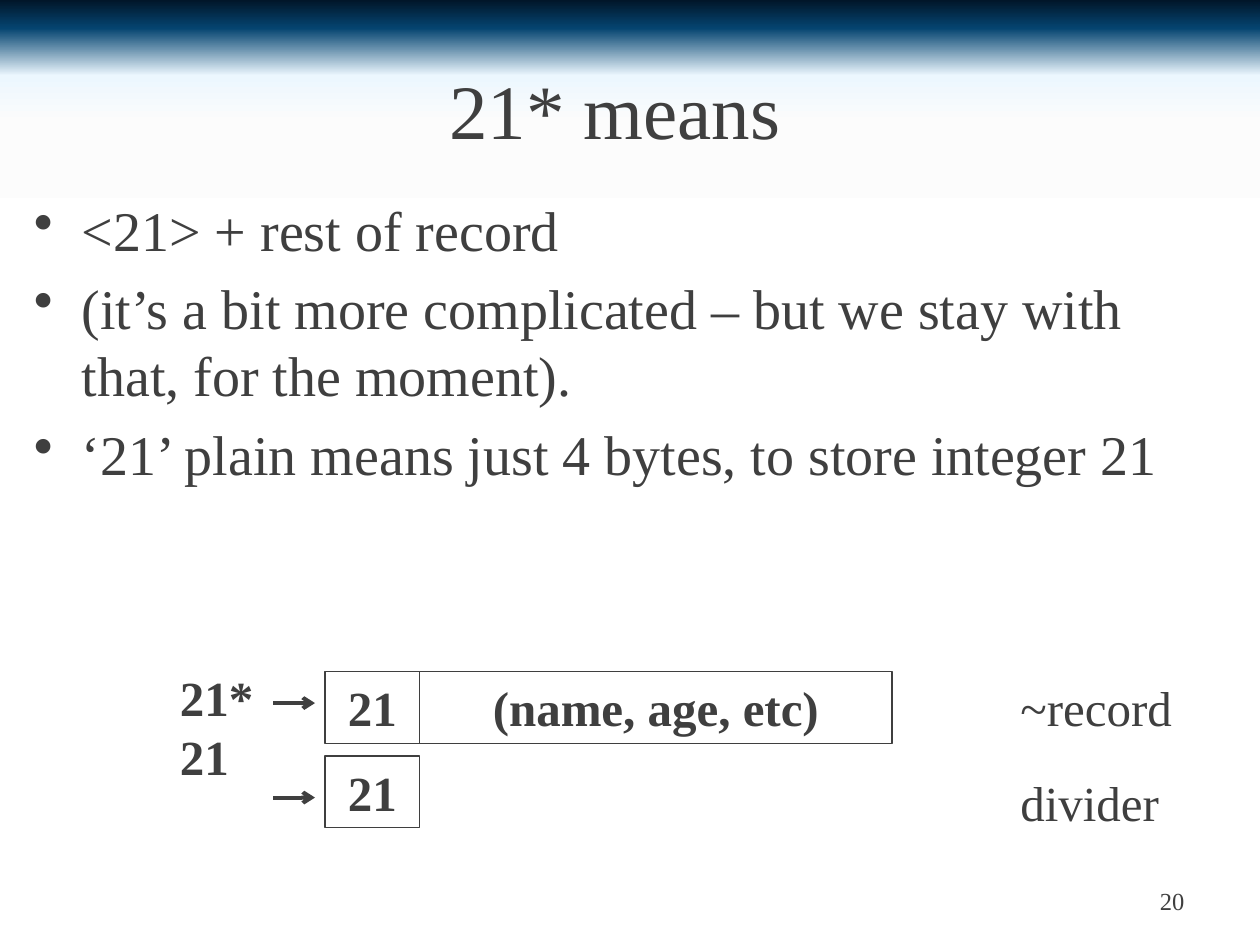
"""Build the slide explaining what 21* means in an index entry."""
from lxml import etree
from pptx import Presentation
from pptx.enum import shapes, text
from pptx.oxml import ns
from pptx.util import Inches, Pt
from pptx.dml.color import RGBColor

COLORS = {"ink": "3F3F3F", "night": "011629", "blue": "054470",
          "sky": "ECF7FE", "mist": "FCFCFC", "white": "FFFFFF"}
INK = RGBColor.from_string(COLORS["ink"])
ALIGN = text.PP_ALIGN
ANCHOR = text.MSO_ANCHOR


def write(frame, lines, size, bold=False, align=ALIGN.LEFT, anchor=ANCHOR.TOP, wrap=True, grow=False):
    frame.text = "\n".join(lines)
    frame.word_wrap = wrap
    frame.vertical_anchor = anchor
    frame.auto_size = text.MSO_AUTO_SIZE.SHAPE_TO_FIT_TEXT if grow else text.MSO_AUTO_SIZE.NONE
    for paragraph in frame.paragraphs:
        paragraph.alignment = align
        for run in paragraph.runs:
            run.font.name = "Times New Roman"
            run.font.size = Pt(size)
            run.font.bold = bold
            run.font.color.rgb = INK


def add_text(left, top, width, height, lines, size, **style):
    box = slide.shapes.add_textbox(Inches(left), Inches(top), Inches(width), Inches(height))
    write(box.text_frame, lines, size, **style)
    return box.text_frame


prs = Presentation()
prs.slide_width, prs.slide_height = Inches(10), Inches(7.5)
slide = prs.slides.add_slide(prs.slide_layouts[6])

backdrop = slide.background.fill
backdrop.gradient()
backdrop.gradient_angle = 270
stops = next(slide.element.iter(ns.qn("a:gsLst")))
for stop in list(stops):
    stops.remove(stop)
for percent, shade in [(0, "night"), (3, "blue"), (8, "sky"), (13, "mist"),
                       (21, "white"), (98, "white")]:
    stop = etree.SubElement(stops, ns.qn("a:gs"), pos=str(percent * 1000))
    etree.SubElement(stop, ns.qn("a:srgbClr"), val=COLORS[shade])

add_text(0.17, 0.3, 9.42, 1.12, ["21* means"], 44, align=ALIGN.CENTER, anchor=ANCHOR.MIDDLE)

points = add_text(0.17, 1.5, 9.42, 5.2, [
    "<21> + rest of record",
    "(it’s a bit more complicated – but we stay with that, for the moment).",
    "‘21’ plain means just 4 bytes, to store integer 21",
], 32)
indent = Inches(0.38)
for index, point in enumerate(points.paragraphs):
    point.space_before = Pt(6.4 if index else 0)
    properties = point._p.get_or_add_pPr()
    properties.set("marL", str(indent))
    properties.set("indent", str(-indent))
    etree.SubElement(properties, ns.qn("a:buChar"), char="•")

add_text(7.17, 6.95, 2.33, 0.4, ["20"], 14, align=ALIGN.RIGHT, anchor=ANCHOR.MIDDLE)
add_text(1.33, 5.25, 0.79, 1.28, ["21*", "21"], 28, bold=True, wrap=False, grow=True)

for left, top, width, content in [(2.58, 5.33, 0.75, "21"),
                                  (3.33, 5.33, 3.75, "(name, age, etc)"),
                                  (2.58, 6, 0.75, "21")]:
    field = slide.shapes.add_shape(shapes.MSO_SHAPE.RECTANGLE, Inches(left), Inches(top),
                                   Inches(width), Inches(0.57))
    field.shadow.inherit = False
    field.fill.background()
    field.line.color.rgb = INK
    field.line.width = Pt(0.75)
    write(field.text_frame, [content], 28, bold=True, align=ALIGN.CENTER, grow=True)

for height in (5.58, 6.33):
    arrow = slide.shapes.add_connector(shapes.MSO_CONNECTOR.STRAIGHT, Inches(2.17), Inches(height),
                                       Inches(2.5), Inches(height))
    arrow.line.color.rgb = INK
    arrow.line.width = Pt(2.25)
    etree.SubElement(arrow.line._get_or_add_ln(), ns.qn("a:tailEnd"), type="arrow")
    etree.SubElement(arrow._element.spPr, ns.qn("a:effectLst"))

for top, width, remark in [(6.08, 1.31, "divider"), (5.33, 1.42, "~record")]:
    add_text(8, top, width, 0.57, [remark], 28, wrap=False, grow=True)

prs.save("out.pptx")
